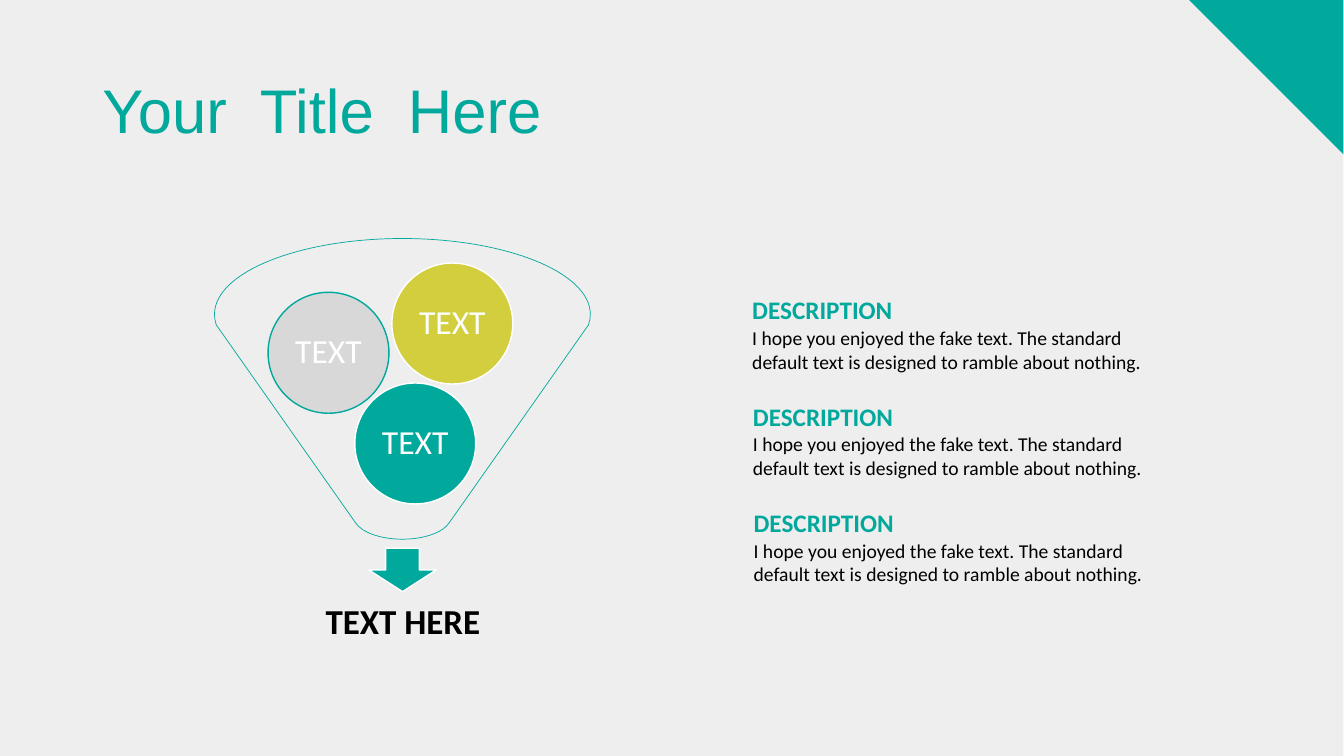
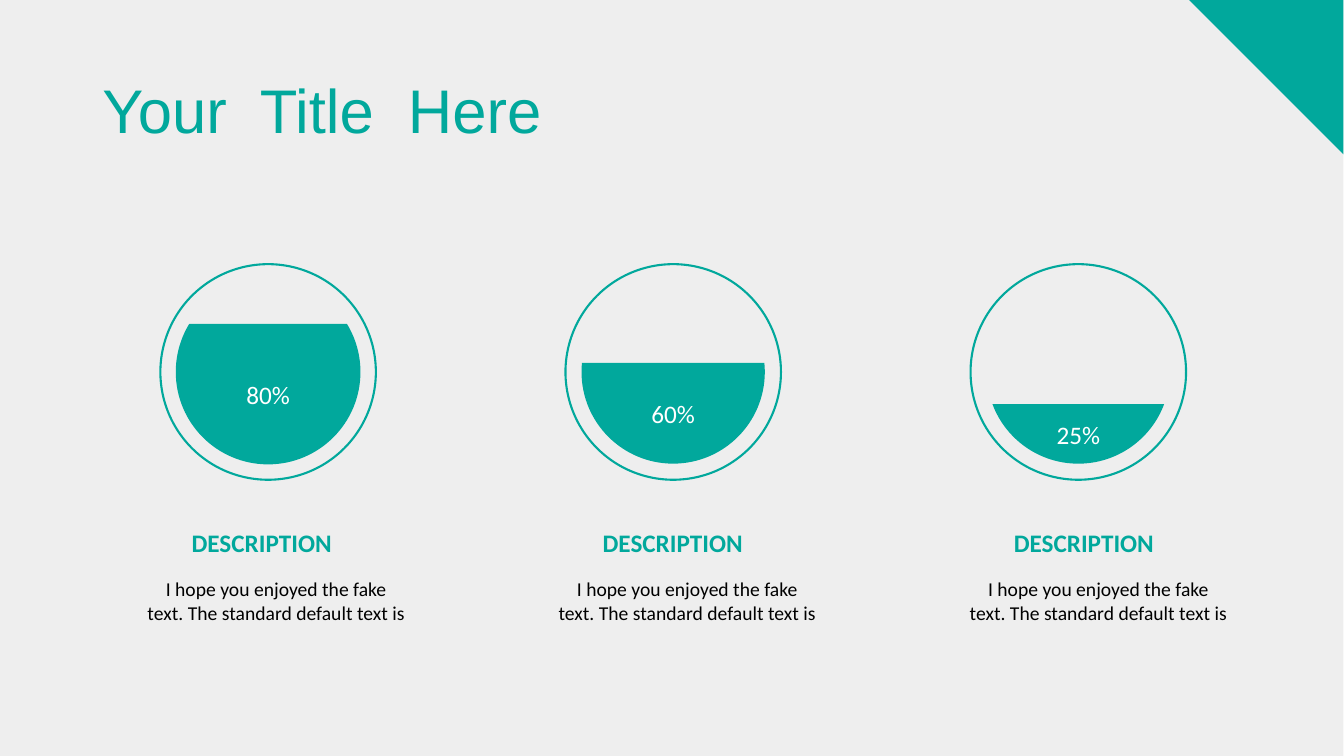
from math import asin, cos, degrees, radians, sin, tan

from pptx import Presentation
from pptx.dml.color import RGBColor
from pptx.enum.shapes import MSO_SHAPE as Shape
from pptx.enum.text import MSO_ANCHOR as Anchor, PP_ALIGN as Align
from pptx.oxml.ns import qn
from pptx.oxml.xmlchemy import OxmlElement as Node
from pptx.util import Pt

HUES = {
    "teal": "01A89C",
    "lime": "D3CE3D",
    "gray": "D8D8D8",
    "page": "EEEEEE",
    "white": "FFFFFF",
    "black": "000000",
}
FONT = "Calibri"


def paint(shape, fill=None, edge=None, width=1):
    """Set fill and outline by hue name; None leaves that part clear."""
    shape.shadow.inherit = False
    for part, hue in ((shape.fill, fill), (shape.line.fill, edge)):
        if hue:
            part.solid()
            part.fore_color.rgb = RGBColor.from_string(HUES[hue])
        else:
            part.background()
    if edge:
        shape.line.width = Pt(width)


def write(shape, text, size, hue, bold=False, align=Align.CENTER,
          anchor=Anchor.MIDDLE, face=FONT, spacing=None):
    frame = shape.text_frame
    frame.word_wrap = True
    frame.vertical_anchor = anchor
    frame.text = text
    para = frame.paragraphs[0]
    para.alignment = align
    para.line_spacing = spacing
    font = para.font
    font.name, font.size, font.bold = face, Pt(size), bold
    font.color.rgb = RGBColor.from_string(HUES[hue])


deck = Presentation()
deck.slide_width, deck.slide_height = Pt(960.48), Pt(540)
layout = deck.slide_layouts[5]
first, second = [deck.slides.add_slide(layout) for _ in range(2)]

# Gray panel behind every slide, kept on the master
panel = first.shapes.add_shape(Shape.RECTANGLE, 0, 0, Pt(960), Pt(540))
paint(panel, "page")
panel.element.xpath(".//p:cNvPr")[0].set("id", "99")
deck.slide_master.shapes.element.insert(2, panel.element)

# Shared title and corner
for slide in (first, second):
    corner = slide.shapes.add_shape(
        Shape.RIGHT_TRIANGLE, Pt(849.8), 0, Pt(110.2), Pt(110.2))
    corner.rotation = 180
    paint(corner, "teal")
    title = slide.shapes.title
    title.left, title.top = Pt(66), Pt(28.8)
    title.width, title.height = Pt(828), Pt(104.4)
    write(title, "Your  Title  Here", 44, "teal", align=Align.LEFT,
          face="Arial", spacing=0.9)

# Slide 1: funnel contents
shapes = first.shapes
arrow = shapes.add_shape(Shape.DOWN_ARROW, Pt(263.6), Pt(391.6), Pt(48.2), Pt(31))
paint(arrow, "teal", "white")
result = shapes.add_shape(Shape.RECTANGLE, Pt(172.8), Pt(416), Pt(230.4), Pt(57.6))
paint(result)
write(result, "TEXT HERE", 25, "black", bold=True, spacing=0.9)

SIZE = 86.4
for left, top, fill, edge in (
    (253.6, 273.6, "teal", "white"),
    (191.6, 208.8, "gray", "teal"),
    (280.1, 187.9, "lime", "white"),
):
    ball = shapes.add_shape(Shape.OVAL, Pt(left), Pt(top), Pt(SIZE), Pt(SIZE))
    paint(ball, fill, edge)
    write(ball, "TEXT", 24, "white", spacing=0.9)
    ball.text_frame.word_wrap = False

# Curved outlines: arcs are (x, y, x radius, y radius, start, end)
funnel = [(287.6, 224.6, 134.3, 54.2, 172, 368), (287.6, 368.6, 35, 16.6, 17, 163)]
outlines = [(first, funnel, None, "teal", 0.5, None)]

# Slide 2: gauges
MID, RING, DISK = 265.7, 77, 65.5
for col, (share, level) in enumerate((("80%", 231.8), ("60%", 259.2), ("25%", 288.7))):
    center = 191.6 + 289.5 * col
    ring = second.shapes.add_shape(
        Shape.OVAL, Pt(center - RING), Pt(MID - RING), Pt(2 * RING), Pt(2 * RING))
    paint(ring, edge="teal", width=1.5)
    start = degrees(asin((level - MID) / DISK))
    arc = (center, MID, DISK, DISK, start, 180 - start)
    outlines.append((second, [arc], "teal", "teal" if col == 0 else None, 1, share))

for slide, arcs, fill, edge, width, text in outlines:
    points, bends = [], []
    for x, y, wide, high, start, end in arcs:
        cuts = [start, *(a for a in range(0, 361, 90) if start < a < end), end]
        spots = [(start, 0)]
        for a, b in zip(cuts, cuts[1:]):
            bends.append(len(points) + len(spots) - 1)
            pull = 4 / 3 * tan(radians(b - a) / 4)
            spots += [(a, pull), (b, -pull), (b, 0)]
        for angle, pull in spots:
            turn = radians(angle)
            points.append((Pt(x + wide * (cos(turn) - pull * sin(turn))),
                           Pt(y + high * (sin(turn) + pull * cos(turn)))))
    pen = slide.shapes.build_freeform(*points[0])
    pen.add_line_segments(points[1:])
    form = pen.convert_to_shape()
    lines = list(form.element.iter(qn("a:lnTo")))
    for bend in bends:
        curve = Node("a:cubicBezTo")
        lines[bend].addprevious(curve)
        for line in lines[bend:bend + 3]:
            curve.append(line[0])
            line.getparent().remove(line)
    paint(form, fill, edge, width)
    if text:
        write(form, text, 18, "white")

# Descriptions
for num in range(3):
    left, top = 530.5 + 0.5 * num, 206.9 + 76 * num
    head = first.shapes.add_textbox(Pt(left), Pt(top), Pt(293.8), Pt(29))
    write(head, "DESCRIPTION", 18, "teal", True, Align.LEFT, Anchor.TOP)
    body = first.shapes.add_textbox(Pt(left), Pt(top + 22.4), Pt(294.5), Pt(41))
    write(body, "I hope you enjoyed the fake text. The standard default text is "
          "designed to ramble about nothing.", 14, "black",
          align=Align.LEFT, anchor=Anchor.TOP)

    left = 97.3 + 293.8 * num
    body = second.shapes.add_textbox(Pt(left), Pt(408.8), Pt(200.2), Pt(41))
    write(body, "I hope you enjoyed the fake text. The standard default text is",
          14, "black", anchor=Anchor.TOP)
    head = second.shapes.add_textbox(Pt(left), Pt(373), Pt(179.3), Pt(29))
    write(head, "DESCRIPTION", 18, "teal", bold=True, anchor=Anchor.TOP)

deck.save("out.pptx")
